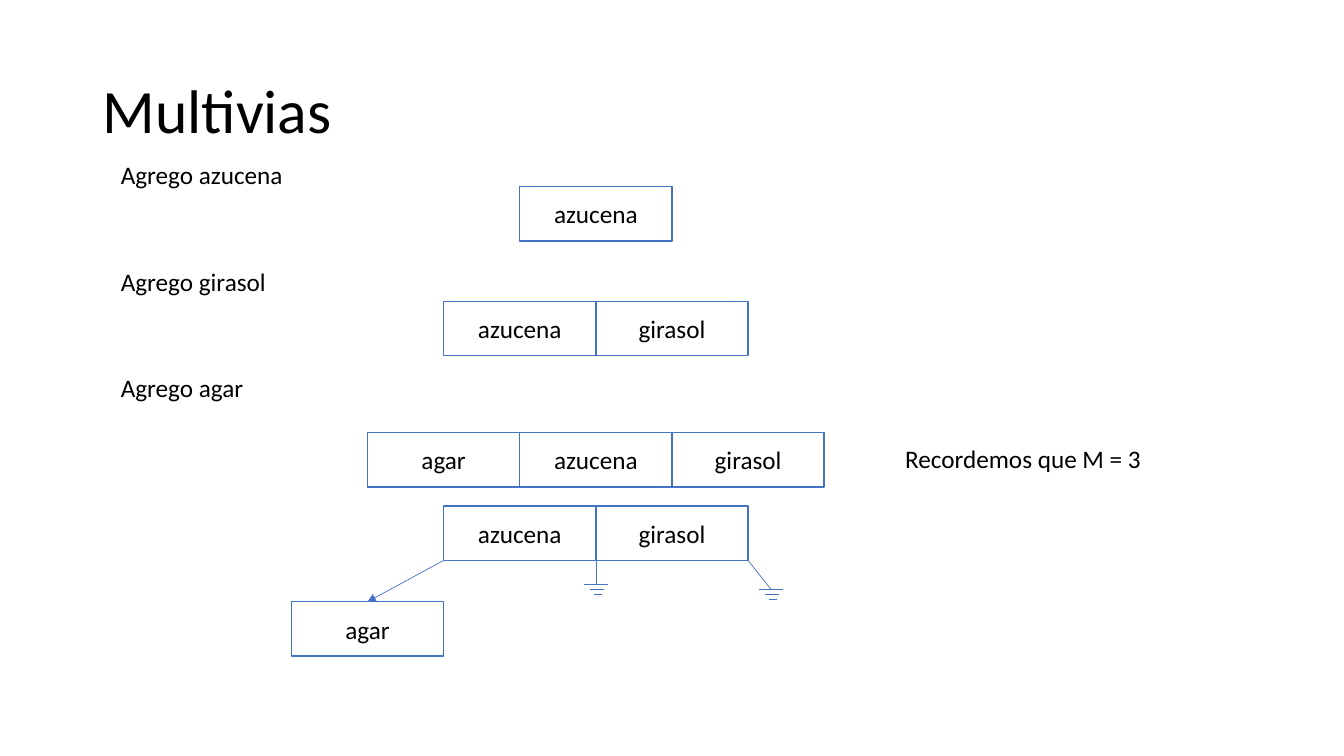
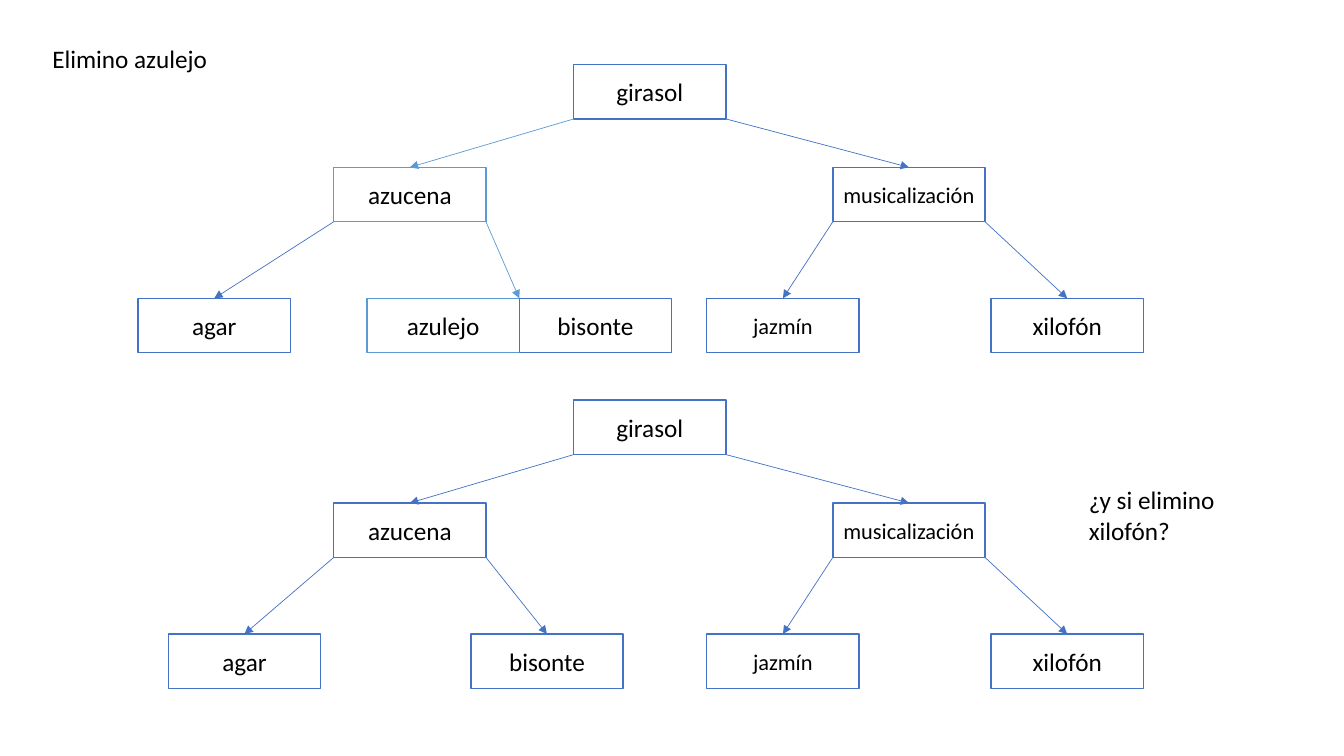
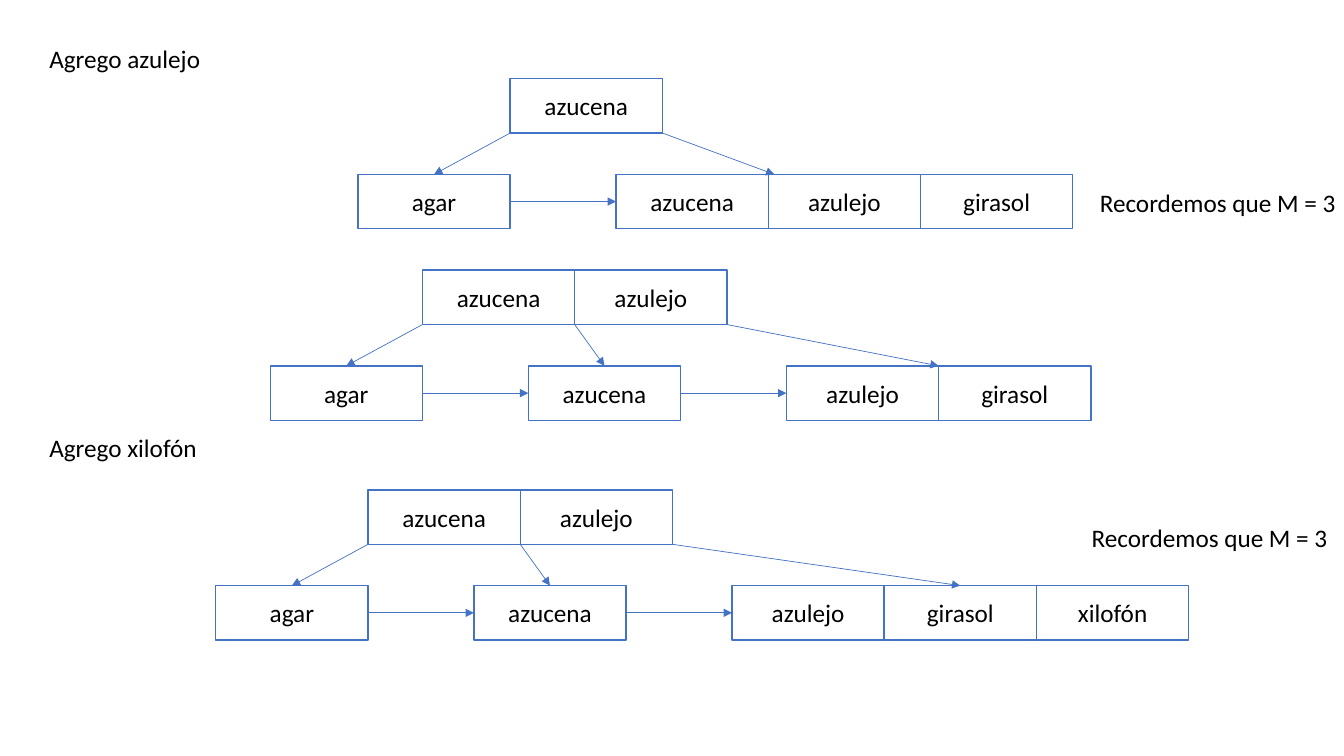
from lxml.etree import SubElement
from pptx import Presentation
from pptx.dml.color import RGBColor
from pptx.enum.shapes import MSO_CONNECTOR, MSO_SHAPE
from pptx.enum.text import MSO_ANCHOR, PP_ALIGN
from pptx.oxml.ns import qn
from pptx.util import Inches, Pt

FONT = "Calibri"
BLACK, WHITE = "000000", "FFFFFF"
BLUE, LIGHT_BLUE = "4472C4", "5B9BD5"
CELL_WIDTH, CELL_HEIGHT = 1.51, 0.54
SMALL_WORDS = {"musicalización", "jazmín"}
REMINDER = "Recordemos que M = 3"
color = RGBColor.from_string


def add_text(page, text, left, top, width, height=0.4, size=18, outline=None):
    place = [Inches(value) for value in (left, top, width, height)]
    if outline:
        box = page.shapes.add_shape(MSO_SHAPE.RECTANGLE, *place)
        box.shadow.inherit = False
        box.fill.solid()
        box.fill.fore_color.rgb = color(WHITE)
        box.line.color.rgb = color(outline)
        box.line.width = Pt(1)
        box.text_frame.margin_left = box.text_frame.margin_right = 0
        box.text_frame.vertical_anchor = MSO_ANCHOR.MIDDLE
    else:
        box = page.shapes.add_textbox(*place)
    box.text_frame.word_wrap = True
    para = box.text_frame.paragraphs[0]
    para.text = text
    para.alignment = PP_ALIGN.CENTER if outline else PP_ALIGN.LEFT
    para.font.name = FONT
    para.font.size = Pt(size)
    para.font.color.rgb = color(BLACK)
    return box


def add_line(page, start, end, stroke=BLUE, arrow=True):
    line = page.shapes.add_connector(
        MSO_CONNECTOR.STRAIGHT, *[Inches(value) for value in (*start, *end)])
    line.line.color.rgb = color(stroke)
    line.line.width = Pt(0.5)
    if arrow:
        SubElement(line.line._get_or_add_ln(), qn("a:tailEnd"), type="triangle")
    SubElement(line._element.spPr, qn("a:effectLst"))
    return line


deck = Presentation()
deck.slide_width, deck.slide_height = Inches(13.33), Inches(7.5)
insert_page, delete_page, leaf_page = [
    deck.slides.add_slide(deck.slide_layouts[6]) for _ in range(3)]

title = add_text(insert_page, "Multivias", 0.92, 0.4, 11.5, 1.45, size=44)
title.text_frame.vertical_anchor = MSO_ANCHOR.MIDDLE
title.text_frame.paragraphs[0].line_spacing = 0.9

for page, text, left, top, width in [
    (insert_page, "Agrego azucena", 1.1, 1.53, 2.31),
    (insert_page, "Agrego girasol", 1.1, 2.59, 2.31),
    (insert_page, "Agrego agar", 1.1, 3.64, 2.31),
    (insert_page, REMINDER, 8.88, 4.35, 2.64),
    (delete_page, "Elimino azulejo", 0.42, 0.38, 2.31),
    (delete_page, "¿y si elimino xilofón?", 10.7, 4.76, 2.29),
    (leaf_page, "Agrego azulejo", 0.39, 0.38, 2.31),
    (leaf_page, "Agrego xilofón", 0.39, 4.24, 2.31),
    (leaf_page, REMINDER, 10.81, 1.81, 2.64),
    (leaf_page, REMINDER, 10.73, 5.13, 2.64),
]:
    add_text(page, text, left, top, width)

# Each tree: page, nodes (left, top, words), links (parent, edge, child, slot),
# neighbour pairs, highlighted words and highlighted links.
trees = []

center = 5.91
steps = [(1.85, "azucena"), (2.99, "azucena girasol"),
         (4.29, "agar azucena girasol"), (5.02, "azucena girasol")]
insert_nodes = [(center - len(words.split()) * CELL_WIDTH / 2, top, words)
                for top, words in steps]
insert_nodes.append((center - 2 * CELL_WIDTH, 5.97, "agar"))
trees.append((insert_page, insert_nodes, [(3, 0, 4, 0.5)], [], [], []))

for top, agar_left, right_left, right_words, right_slot, words, links in [
    (0.64, 1.37, 3.64, "azulejo bisonte", 1, ["azucena", "azulejo"], [0, 3]),
    (3.97, 1.67, 4.67, "bisonte", 0.5, [], []),
]:
    middle, bottom = top + 1.02, top + 2.32
    nodes = [(5.69, top, "girasol"),
             (3.31, middle, "azucena"), (8.26, middle, "musicalización"),
             (agar_left, bottom, "agar"), (right_left, bottom, right_words),
             (7.01, bottom, "jazmín"), (9.83, bottom, "xilofón")]
    branches = [(0, 0, 1, 0.5), (0, 1, 2, 0.5), (1, 0, 3, 0.5),
                (1, 1, 4, right_slot), (2, 0, 5, 0.5), (2, 1, 6, 0.5)]
    trees.append((delete_page, nodes, branches, [], words, links))

for left, top, root, leaves, last_slot in [
    (5.06, 0.78, "azucena", ["agar", "azucena azulejo girasol"], 1.04),
    (4.19, 2.68, "azucena azulejo", ["agar", "azucena", "azulejo girasol"], 1),
    (3.65, 4.86, "azucena azulejo",
     ["agar", "azucena", "azulejo girasol xilofón"], 1.5),
]:
    count = len(leaves)
    nodes = [(left, top, root)]
    nodes += [(left - CELL_WIDTH + 2.56 * index, top + 0.95, words)
              for index, words in enumerate(leaves)]
    branches = [(0, index, index + 1, last_slot if index == count - 1 else 0.5)
                for index in range(count)]
    neighbours = [(index, index + 1) for index in range(1, count)]
    trees.append((leaf_page, nodes, branches, neighbours, [], []))

for page, nodes, branches, neighbours, light_words, light_links in trees:
    cells = [
        [add_text(page, word, left + index * CELL_WIDTH, top,
                  CELL_WIDTH, CELL_HEIGHT,
                  size=16 if word in SMALL_WORDS else 18,
                  outline=LIGHT_BLUE if word in light_words else BLUE)
         for index, word in enumerate(words.split())]
        for left, top, words in nodes]
    for index, (parent, edge, child, slot) in enumerate(branches):
        start = (nodes[parent][0] + edge * CELL_WIDTH,
                 nodes[parent][1] + CELL_HEIGHT)
        end = (nodes[child][0] + slot * CELL_WIDTH, nodes[child][1])
        arrow = add_line(page, start, end,
                         LIGHT_BLUE if index in light_links else BLUE)
        if slot % 1 == 0.5:
            arrow.end_connect(cells[child][int(slot)], 0)
    for first, second in neighbours:
        level = nodes[first][1] + CELL_HEIGHT / 2
        arrow = add_line(page, (nodes[first][0] + CELL_WIDTH, level),
                         (nodes[second][0], level))
        arrow.begin_connect(cells[first][-1], 3)
        arrow.end_connect(cells[second][0], 1)

for start_x, ground_x, ground_y in [(center, 5.91, 5.8),
                                    (center + CELL_WIDTH, 7.65, 5.85)]:
    add_line(insert_page, (start_x, 5.56), (ground_x, ground_y), arrow=False)
    for index, half in enumerate([0.12, 0.07, 0.04]):
        x, y = ground_x + 0.01 * index, ground_y + 0.05 * index
        add_line(insert_page, (x - half, y), (x + half, y), arrow=False)

deck.save("out.pptx")
